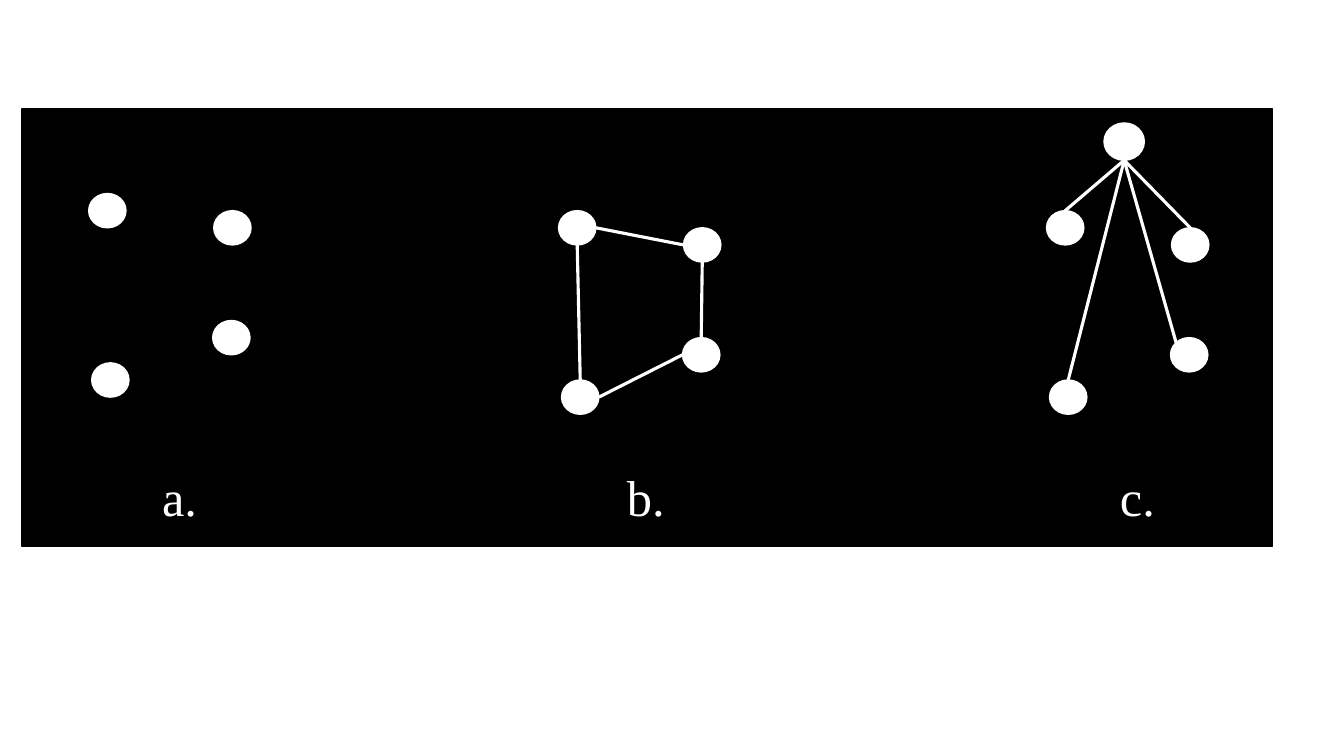
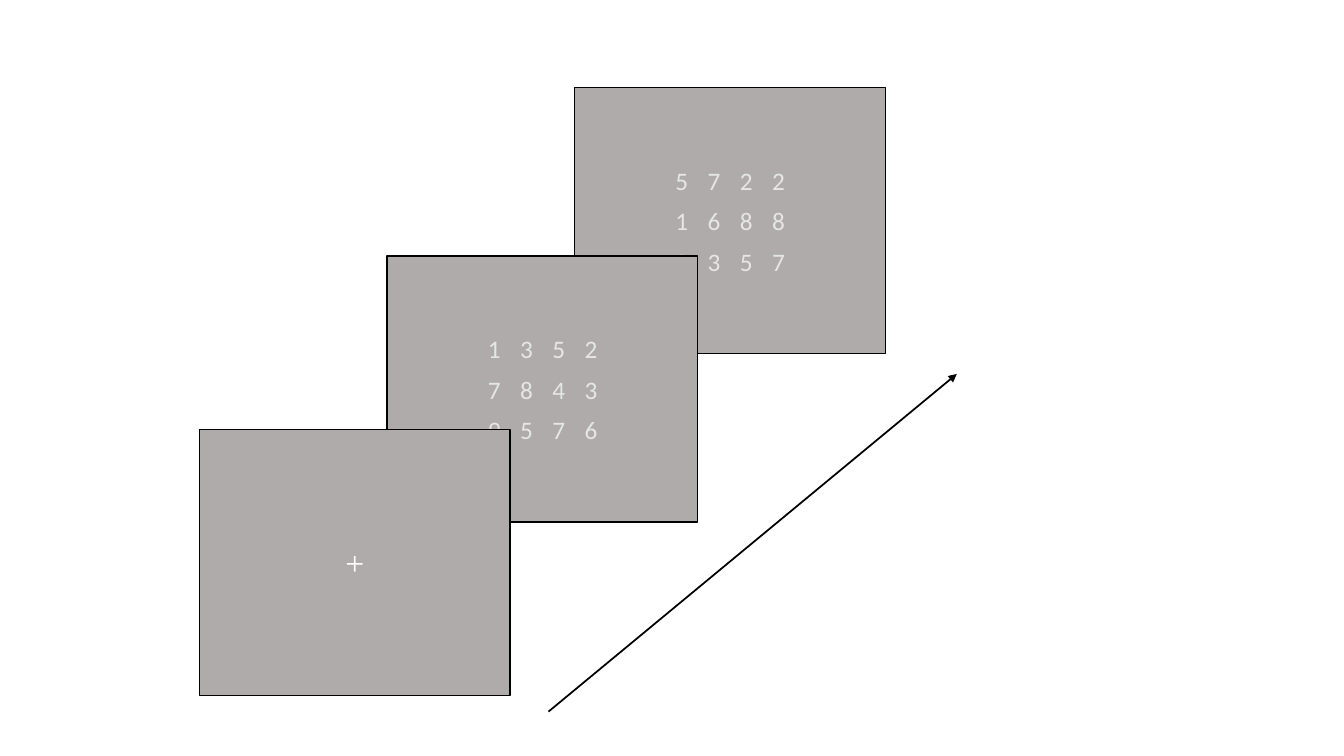
from lxml import etree
from pptx import Presentation
from pptx.dml.color import RGBColor
from pptx.enum.shapes import MSO_CONNECTOR, MSO_SHAPE
from pptx.enum.text import MSO_ANCHOR, MSO_AUTO_SIZE, PP_ALIGN
from pptx.oxml.ns import qn
from pptx.util import Inches, Pt

RECTANGLE, ELLIPSE = MSO_SHAPE.RECTANGLE, MSO_SHAPE.OVAL
STRAIGHT = MSO_CONNECTOR.STRAIGHT
LEFT, CENTER = PP_ALIGN.LEFT, PP_ALIGN.CENTER
MIDDLE = MSO_ANCHOR.MIDDLE
GROW = MSO_AUTO_SIZE.SHAPE_TO_FIT_TEXT
BLANK_LAYOUT = 6

# Shared colours and fonts
BLACK, WHITE, GRAY, PALE = "000000", "FFFFFF", "AFABAB", "E7E6E6"
SERIF, SANS = "Times New Roman", "Calibri"

# Graph nodes: offsets from the first node of each panel
NODE_SIZE = (0.37, 0.34)
NODE_OFFSETS = [(0, 0), (1.24, 0.17), (0.03, 1.68), (1.23, 1.26)]
HUB = (10.95, 1.22, 0.4, 0.37)

# Attachment points as fractions of a node's width and height
TOP, BOTTOM, LEFT_SIDE, RIGHT_SIDE = (0.5, 0), (0.5, 1), (0, 0.5), (1, 0.5)
TOP_LEFT = (0.15, 0.15)

# Screens and their digit grids
SCREEN_SIZE = (3.08, 2.64)
GRID_OFFSET = (0.9, 0.72)
DIGIT_SIZE = (0.32, 0.4)


def color(hex_string):
    return RGBColor.from_string(hex_string)


def add_box(slide, kind, box, fill, line):
    shape = slide.shapes.add_shape(kind, *map(Inches, box))
    shape.shadow.inherit = False
    shape.fill.solid()
    shape.fill.fore_color.rgb = color(fill)
    shape.line.color.rgb = color(line)
    shape.line.width = Pt(1)
    return shape


def write(shape, text, size, font, ink, alignment):
    shape.text_frame.text = text
    paragraph = shape.text_frame.paragraphs[0]
    paragraph.alignment = alignment
    style = paragraph.runs[0].font
    style.size, style.name = Pt(size), font
    style.color.rgb = color(ink)


def add_text(slide, box, text, size, font, ink, alignment):
    shape = slide.shapes.add_textbox(*map(Inches, box))
    shape.text_frame.word_wrap = True
    shape.text_frame.auto_size = GROW
    write(shape, text, size, font, ink, alignment)


def add_line(slide, start, end, ink, width, arrow=False):
    connector = slide.shapes.add_connector(
        STRAIGHT, *map(Inches, (*start, *end)))
    connector.line.color.rgb = color(ink)
    connector.line.width = Pt(width)
    if arrow:
        line = connector.line._get_or_add_ln()
        etree.SubElement(line, qn("a:tailEnd"), type="triangle")
    etree.SubElement(connector._element.spPr, qn("a:effectLst"))


def site(node, fractions):
    left, top, width, height = node
    return left + fractions[0] * width, top + fractions[1] * height


def add_panel(slide, label, label_left, left, top):
    """Draw four nodes and their label; return the node boxes."""
    nodes = [(left + x, top + y, *NODE_SIZE) for x, y in NODE_OFFSETS]
    for node in nodes:
        add_box(slide, ELLIPSE, node, WHITE, WHITE)
    add_text(slide, (label_left, 4.57, 0.6, 0.71), label, 36, SERIF, WHITE, LEFT)
    return nodes


def add_screen(slide, left, top, rows=()):
    screen = add_box(slide, RECTANGLE, (left, top, *SCREEN_SIZE), GRAY, BLACK)
    width, height = DIGIT_SIZE
    for row, digits in enumerate(rows):
        for column, digit in enumerate(digits):
            box = (left + GRID_OFFSET[0] + column * width,
                   top + GRID_OFFSET[1] + row * height, width, height)
            add_text(slide, box, digit, 18, SANS, PALE, CENTER)
    return screen


def build_graphs(slide):
    add_box(slide, RECTANGLE, (0.22, 1.08, 12.4, 4.34), BLACK, BLACK)

    # a: separate nodes
    add_panel(slide, "a.", 1.51, 0.88, 1.92)

    # b: nodes joined in a ring
    upper_left, upper_right, lower_left, lower_right = add_panel(
        slide, "b.", 6.12, 5.54, 2.09)
    for start, start_site, end, end_site in [
            (upper_left, RIGHT_SIDE, upper_right, LEFT_SIDE),
            (upper_left, BOTTOM, lower_left, TOP),
            (lower_right, TOP, upper_right, BOTTOM),
            (lower_left, RIGHT_SIDE, lower_right, LEFT_SIDE)]:
        add_line(slide, site(start, start_site), site(end, end_site), WHITE, 2.25)

    # c: nodes joined to a hub
    nodes = add_panel(slide, "c.", 11.01, 10.38, 2.09)
    add_box(slide, ELLIPSE, HUB, WHITE, WHITE)
    for node, end_site in zip(nodes, (TOP, TOP, TOP, TOP_LEFT)):
        add_line(slide, site(HUB, BOTTOM), site(node, end_site), WHITE, 2.25)


def build_screens(slide):
    # Screens from back to front
    add_screen(slide, 5.7, 0.87, ("5722", "1688", "0357"))
    add_screen(slide, 3.84, 2.54, ("1352", "7843", "9576"))
    fixation = add_screen(slide, 1.98, 4.26)
    fixation.text_frame.vertical_anchor = MIDDLE
    write(fixation, "+", 24, SERIF, WHITE, CENTER)

    # Time arrow
    add_line(slide, (5.44, 7.06), (9.49, 3.71), BLACK, 1.25, arrow=True)


def main():
    presentation = Presentation()
    presentation.slide_width = Inches(13.33)
    presentation.slide_height = Inches(7.5)
    layout = presentation.slide_layouts[BLANK_LAYOUT]
    for build in (build_graphs, build_screens):
        build(presentation.slides.add_slide(layout))
    presentation.save("out.pptx")


main()
